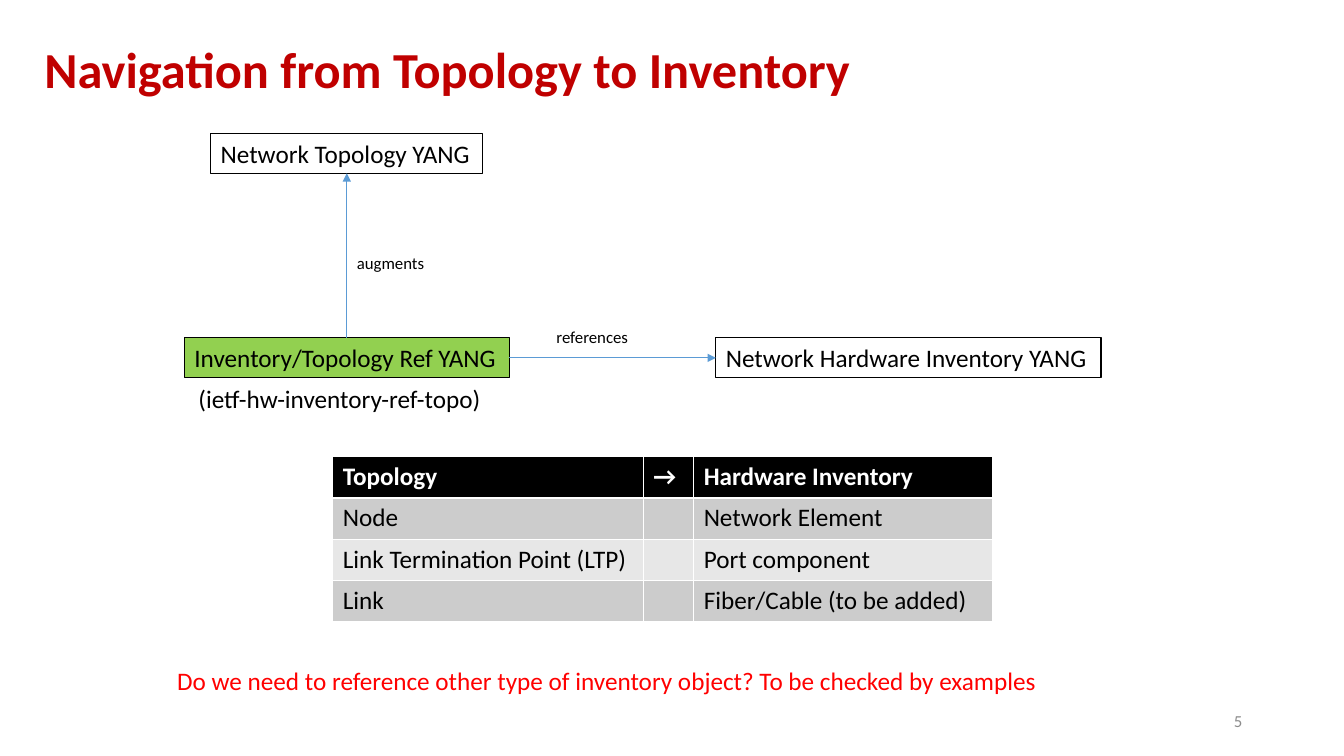
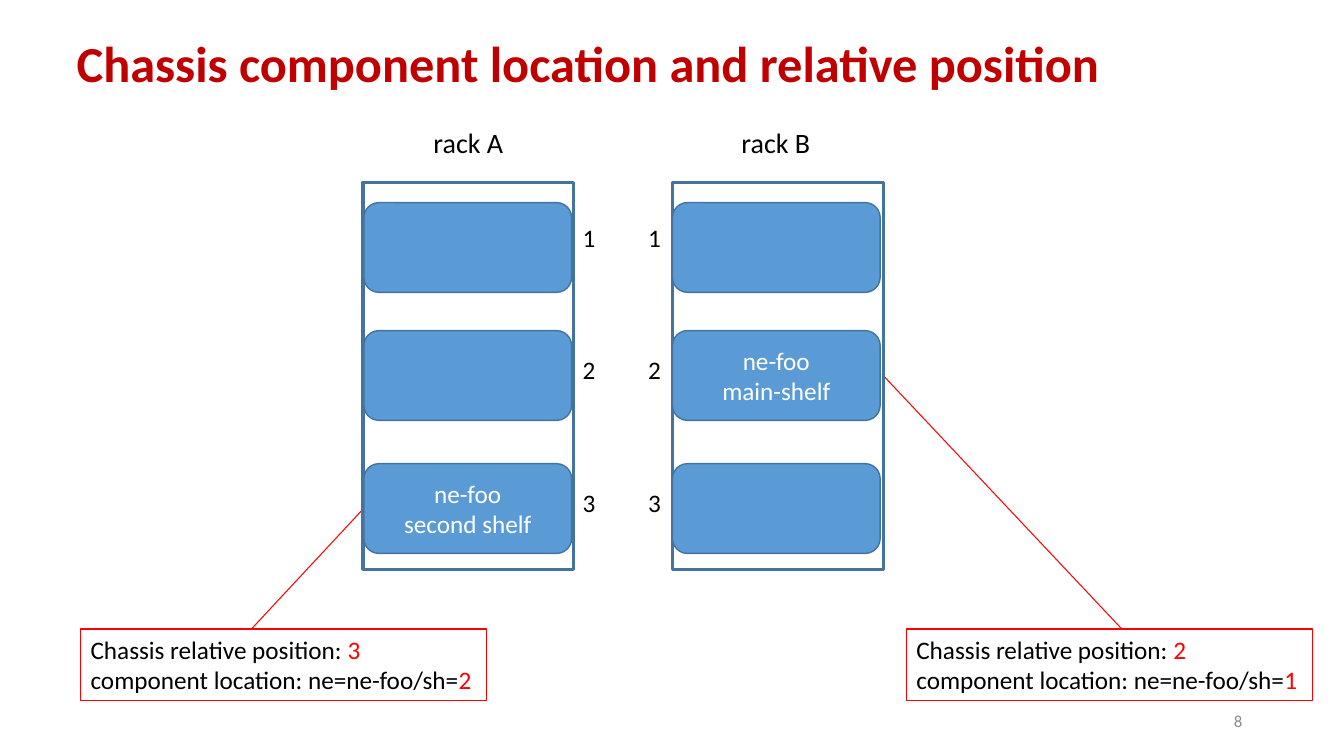
import pptx
import pptx.util
import pptx.dml.color
import pptx.enum.shapes
import pptx.enum.text
import lxml.etree

Inches = pptx.util.Inches
SHAPE = pptx.enum.shapes.MSO_SHAPE
ALIGN = pptx.enum.text.PP_ALIGN
ANCHOR = pptx.enum.text.MSO_ANCHOR
FIT = pptx.enum.text.MSO_AUTO_SIZE

BLACK, WHITE, RED, DARK_RED = "000000", "FFFFFF", "FF0000", "C00000"
BLUE, DARK_BLUE, GREEN, GREY = "5B9BD5", "43739E", "92D050", "8C8C8C"
FONT = "Calibri"
PAGE_NUMBER_BOX = (9.42, 6.95, 3, 0.4)
ONE_LINE = {"word_wrap": False, "auto_size": FIT.SHAPE_TO_FIT_TEXT}
WRAPPED = {"word_wrap": True, "auto_size": FIT.SHAPE_TO_FIT_TEXT}
MIDDLE = {"word_wrap": True, "auto_size": FIT.NONE, "vertical_anchor": ANCHOR.MIDDLE}
ROOMY = {"margin_left": Inches(0.13), "margin_right": Inches(0.13),
         "margin_top": Inches(0.07), "margin_bottom": Inches(0.07)}

navigation = {
    "title": "Navigation from Topology to Inventory",
    "page": "5",
    "title_box": (0.34, 0.23, 12, 0.97),
    "title_frame": {},
    "title_spacing": 0.9,
}
models = {
    "inventory": ("Network Hardware Inventory YANG", (7.1, 3.35, 3.82, 0.4), None),
    "topology": ("Network Topology YANG", (2.09, 1.32, 2.7, 0.4), None),
    "reference": ("Inventory/Topology Ref YANG", (1.83, 3.35, 3.22, 0.4), GREEN),
}
TOP, LEFT, RIGHT = 0, 1, 3
BOTTOM = 2
relations = [("reference", TOP, "topology", BOTTOM), ("reference", RIGHT, "inventory", LEFT)]
remarks = [
    ("augments", (3.44, 2.46, 0.88, 0.3), 12, BLACK),
    ("references", (5.42, 3.19, 0.92, 0.3), 12, BLACK),
    ("(ietf-hw-inventory-ref-topo)", (1.87, 3.75, 3.06, 0.4), 18, BLACK),
    ("Do we need to reference other type of inventory object? To be checked by examples",
     (1.66, 6.55, 8.83, 0.4), 18, RED),
]
mapping = [
    ("Topology", "→", "Hardware Inventory"),
    ("Node", "", "Network Element"),
    ("Link Termination Point (LTP)", "", "Port component"),
    ("Link", "", "Fiber/Cable (to be added)"),
]
mapping_widths = (3.08, 0.5, 2.96)
mapping_row_height = 0.41
mapping_fills = (BLACK, "CCCCCC", "E7E7E7", "CCCCCC")

chassis = {
    "title": "Chassis component location and relative position",
    "page": "8",
    "title_box": (0.63, 0.43, 12.62, 0.51),
    "title_frame": ROOMY,
    "title_spacing": pptx.util.Pt(34.3),
}
racks = [
    {"name": "rack A", "left": 3.6, "label_width": 2.09, "shelf_left": 3.61, "number_left": 5.68,
     "shelves": ([], [], ["ne-foo", "second shelf"])},
    {"name": "rack B", "left": 6.67, "label_width": 2.05, "shelf_left": 6.67, "number_left": 6.33,
     "shelves": ([], ["ne-foo", "main-shelf"], [])},
]
shelf_tops = (2.01, 3.28, 4.6)
number_tops = (2.16, 3.47, 4.79)
callouts = [
    (8.99, "2", "1", (0.011, 0.532, -3.561, -0.06)),
    (0.8, "3", "2", (-0.004, 0.421, -1.675, 0.695)),
]


def color(value):
    return pptx.dml.color.RGBColor.from_string(value)


def apply(target, values):
    for name, value in values.items():
        setattr(target, name, value)


def write(frame, paragraphs, size=18, ink=BLACK, bold=False, **paragraph_format):
    for index, runs in enumerate(paragraphs):
        paragraph = frame.add_paragraph() if index else frame.paragraphs[0]
        apply(paragraph, {"alignment": ALIGN.LEFT, **paragraph_format})
        for words, run_ink in [(runs, ink)] if isinstance(runs, str) else runs:
            run = paragraph.add_run()
            run.text = words
            apply(run.font, {"name": FONT, "size": pptx.util.Pt(size), "bold": bold})
            run.font.color.rgb = color(run_ink)


def add_text(slide, box, paragraphs, frame_format, **text_format):
    frame = slide.shapes.add_textbox(*map(Inches, box)).text_frame
    apply(frame, frame_format)
    write(frame, paragraphs, **text_format)


def add_box(slide, kind, box, line, width, fill=None, paragraphs=(), frame_format=MIDDLE,
            **text_format):
    shape = slide.shapes.add_shape(kind, *map(Inches, box))
    shape.shadow.inherit = False
    if fill:
        shape.fill.solid()
        shape.fill.fore_color.rgb = color(fill)
    else:
        shape.fill.background()
    shape.line.color.rgb = color(line)
    shape.line.width = pptx.util.Pt(width)
    apply(shape.text_frame, {"vertical_anchor": ANCHOR.TOP, **frame_format})
    write(shape.text_frame, paragraphs, **text_format)
    return shape


def add_arrow(slide, start, start_site, end, end_site):
    arrow = slide.shapes.add_connector(pptx.enum.shapes.MSO_CONNECTOR.STRAIGHT, 0, 0, 0, 0)
    arrow.begin_connect(start, start_site)
    arrow.end_connect(end, end_site)
    arrow.line.color.rgb = color(BLUE)
    arrow.line.width = pptx.util.Pt(0.5)
    properties = arrow._element.spPr
    namespace = "{http://schemas.openxmlformats.org/drawingml/2006/main}"
    outline = properties.find(namespace + "ln")
    lxml.etree.SubElement(outline, namespace + "tailEnd", type="triangle")
    lxml.etree.SubElement(properties, namespace + "effectLst")


def add_slide(deck, content):
    slide = deck.slides.add_slide(deck.slide_layouts.get_by_name("Title Only"))
    heading = slide.shapes.title
    left, top, width, height = map(Inches, content["title_box"])
    apply(heading, {"left": left, "top": top, "width": width, "height": height})
    apply(heading.text_frame, {**MIDDLE, **content["title_frame"]})
    write(heading.text_frame, [content["title"]], size=36, ink=DARK_RED, bold=True,
          line_spacing=content["title_spacing"])
    add_text(slide, PAGE_NUMBER_BOX, [content["page"]], MIDDLE, size=12, ink=GREY,
             alignment=ALIGN.RIGHT)
    return slide


def build_navigation(deck):
    slide = add_slide(deck, navigation)
    boxes = {key: add_box(slide, SHAPE.RECTANGLE, box, BLACK, 0.75, fill, [words], ONE_LINE)
             for key, (words, box, fill) in models.items()}
    for start, start_site, end, end_site in relations:
        add_arrow(slide, boxes[start], start_site, boxes[end], end_site)
    for words, box, size, ink in remarks:
        add_text(slide, box, [words], ONE_LINE, size=size, ink=ink)

    table_box = (3.3, 4.53, sum(mapping_widths), mapping_row_height * len(mapping))
    table = slide.shapes.add_table(len(mapping), len(mapping_widths),
                                   *map(Inches, table_box)).table
    for column, width in zip(table.columns, mapping_widths):
        column.width = Inches(width)
    for row, (entries, fill) in enumerate(zip(mapping, mapping_fills)):
        table.rows[row].height = Inches(mapping_row_height)
        for column, words in enumerate(entries):
            cell = table.cell(row, column)
            cell.fill.solid()
            cell.fill.fore_color.rgb = color(fill)
            write(cell.text_frame, [words] if words else [],
                  ink=BLACK if row else WHITE, bold=row == 0)


def build_chassis(deck):
    slide = add_slide(deck, chassis)
    for left, position, shelf, pointer in callouts:
        lines = [
            [("Chassis relative position: ", BLACK), (position, RED)],
            [("component location: ne=ne-foo/sh=", BLACK), (shelf, RED)],
        ]
        callout = add_box(slide, SHAPE.LINE_CALLOUT_1, (left, 6.24, 4.03, 0.71), RED, 0.75,
                          None, lines, ONE_LINE)
        for index, value in enumerate(pointer):
            callout.adjustments[index] = value
    for rack in racks:
        add_box(slide, SHAPE.RECTANGLE, (rack["left"], 1.81, 2.09, 3.84), DARK_BLUE, 2.25)
        add_text(slide, (rack["left"], 1.2, rack["label_width"], 0.44), [rack["name"]], WRAPPED,
                 size=20, alignment=ALIGN.CENTER)
        slots = zip(rack["shelves"], shelf_tops, number_tops)
        for number, (words, shelf_top, number_top) in enumerate(slots, 1):
            add_box(slide, SHAPE.ROUNDED_RECTANGLE, (rack["shelf_left"], shelf_top, 2.06, 0.89),
                    DARK_BLUE, 1, BLUE, words, ink=WHITE, alignment=ALIGN.CENTER)
            add_text(slide, (rack["number_left"], number_top, 0.33, 0.4), [str(number)], WRAPPED)


deck = pptx.Presentation()
apply(deck, {"slide_width": Inches(13.33), "slide_height": Inches(7.5)})
build_navigation(deck)
build_chassis(deck)
deck.save("out.pptx")
